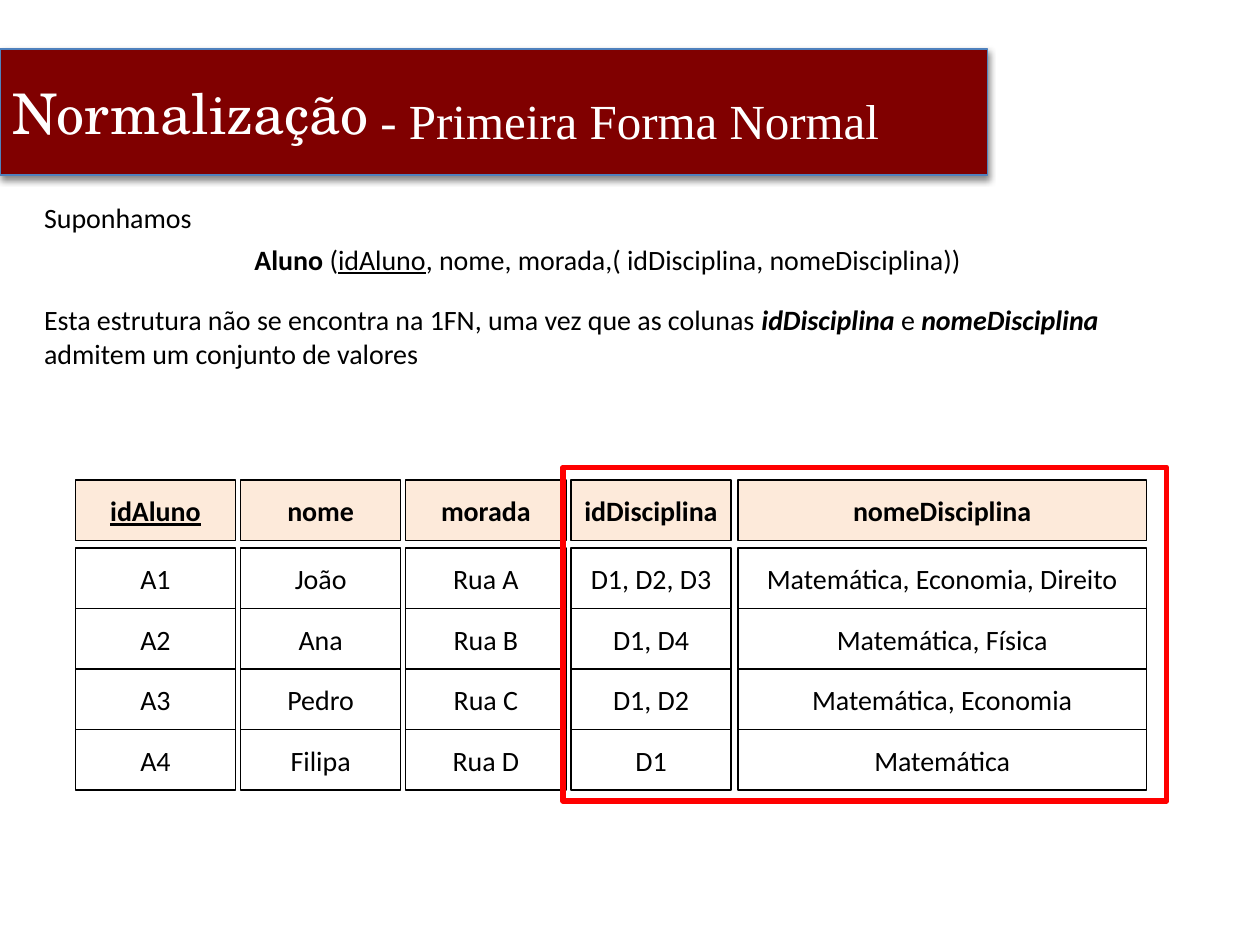
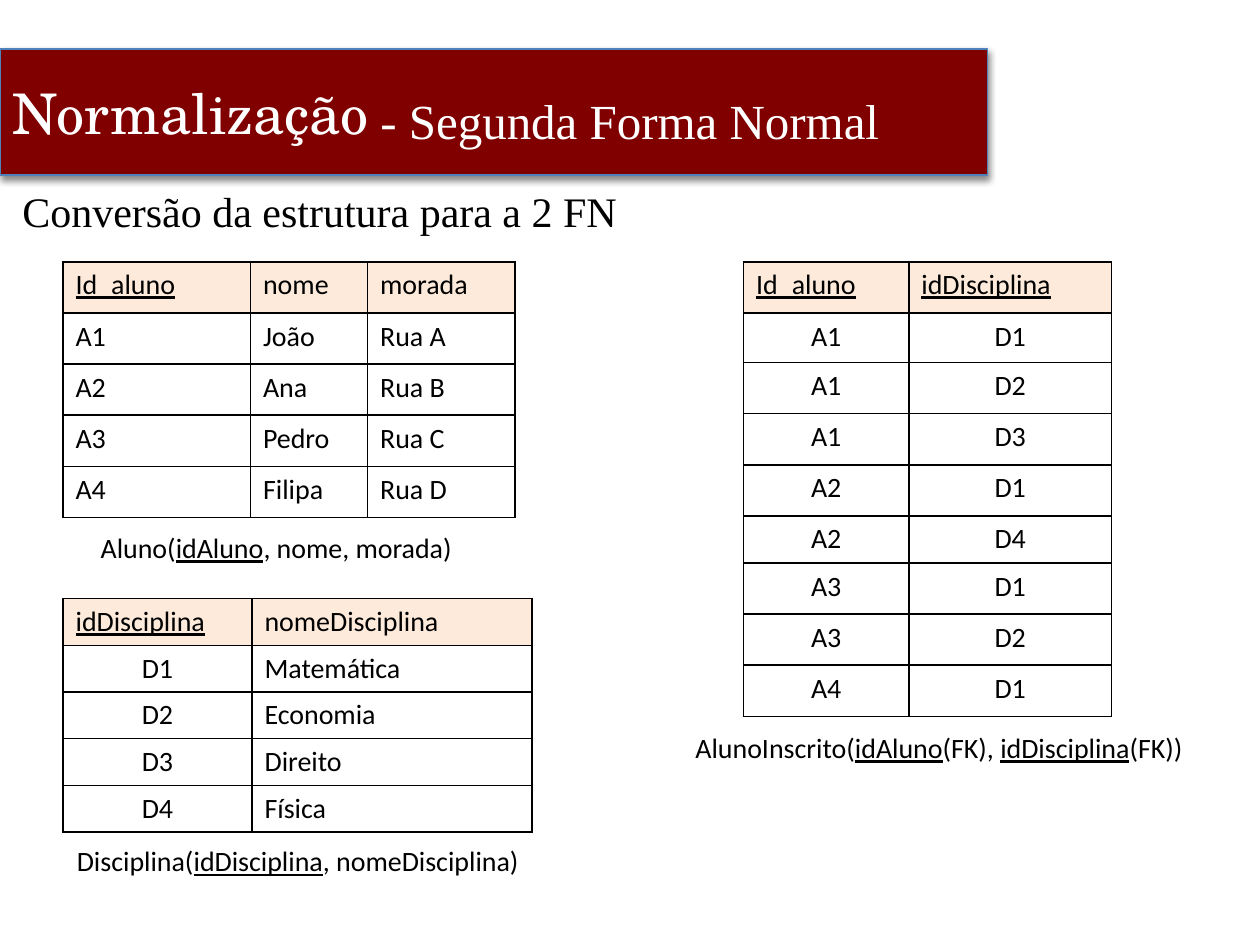
import pptx
import pptx.dml.color
import pptx.enum.shapes
import pptx.enum.text
import pptx.oxml
import pptx.oxml.ns
import pptx.util

Cm = pptx.util.Cm
Pt = pptx.util.Pt
ALIGN = pptx.enum.text.PP_ALIGN
MIDDLE = pptx.enum.text.MSO_ANCHOR.MIDDLE

MAROON, BAND_EDGE, PEACH = "800000", "4F81BD", "FDEADA"
BLACK, WHITE, RED = "000000", "FFFFFF", "FF0000"
BODY_FONT, TITLE_FONT, SUBTITLE_FONT = "Calibri", "TeX Gyre Schola", "Times New Roman"


def rgb(value):
    return pptx.dml.color.RGBColor.from_string(value)


def lengths(values):
    return [Cm(value) for value in values]


def drawing_xml(tag, content):
    namespace = pptx.oxml.ns.nsdecls("a")
    return pptx.oxml.parse_xml(f"<a:{tag} {namespace}>{content}</a:{tag}>")


class Deck:
    def __init__(self):
        self.presentation = pptx.Presentation()
        self.presentation.slide_width = Cm(25.4)
        self.presentation.slide_height = Cm(19.05)
        self.slide = None

    def new_slide(self, subtitle):
        self.slide = self.presentation.slides.add_slide(self.presentation.slide_layouts[5])
        band = self.slide.shapes.title
        band.left, band.top, band.width, band.height = lengths((0, 0.99, 19.91, 2.54))
        self.paint(band, MAROON, BAND_EDGE, 0.75)
        band._element.spPr.append(drawing_xml(
            "effectLst",
            '<a:outerShdw blurRad="50800" dist="25400" dir="5400000">'
            f'<a:srgbClr val="{BLACK}"><a:alpha val="45000"/></a:srgbClr></a:outerShdw>'))
        frame = band.text_frame
        frame.auto_size = pptx.enum.text.MSO_AUTO_SIZE.NONE
        frame.vertical_anchor = MIDDLE
        self.add_runs(frame.paragraphs[0], [("Normalização", "")], 32, TITLE_FONT, WHITE)
        self.text((7.42, 1.7, 11.23, 1.47), [[(subtitle, "")]], 28, SUBTITLE_FONT, WHITE)

    def paint(self, shape, fill, line, width):
        if fill:
            shape.fill.solid()
            shape.fill.fore_color.rgb = rgb(fill)
        else:
            shape.fill.background()
        shape.line.color.rgb = rgb(line)
        shape.line.width = Pt(width)

    def add_runs(self, paragraph, runs, size=16, font=BODY_FONT, color=BLACK, align=ALIGN.LEFT):
        paragraph.alignment = align
        for words, marks in runs:
            run = paragraph.add_run()
            run.text = words
            run.font.name = font
            run.font.size = Pt(size)
            run.font.color.rgb = rgb(color)
            run.font.bold = "b" in marks
            run.font.italic = "i" in marks
            run.font.underline = "u" in marks

    def text(self, box, paragraphs, size=16, font=BODY_FONT, color=BLACK, wrap=True):
        frame = self.slide.shapes.add_textbox(*lengths(box)).text_frame
        frame.word_wrap = wrap
        for index, runs in enumerate(paragraphs):
            paragraph = frame.add_paragraph() if index else frame.paragraphs[0]
            self.add_runs(paragraph, runs, size, font, color)
        return frame

    def rectangle(self, box, fill=None, line=BLACK, width=0.75, runs=()):
        shape = self.slide.shapes.add_shape(
            pptx.enum.shapes.MSO_SHAPE.RECTANGLE, *lengths(box))
        shape.shadow.inherit = False
        self.paint(shape, fill, line, width)
        if runs:
            shape.text_frame.word_wrap = False
            shape.text_frame.vertical_anchor = MIDDLE
            self.add_runs(shape.text_frame.paragraphs[0], runs, align=ALIGN.CENTER)

    def table(self, left, top, widths, heights, rows, centred=()):
        table = self.slide.shapes.add_table(
            len(rows), len(widths),
            *lengths((left, top, sum(widths), sum(heights)))).table
        table.first_row = table.horz_banding = False
        for column, width in zip(table.columns, widths):
            column.width = Cm(width)
        for row, height in zip(table.rows, heights):
            row.height = Cm(height)
        for r, values in enumerate(rows):
            for c, value in enumerate(values):
                cell = table.cell(r, c)
                header = r == 0
                underlined = header and value in ("Id_aluno", "idDisciplina")
                align = ALIGN.CENTER if c in centred and not header else ALIGN.LEFT
                self.add_runs(cell.text_frame.paragraphs[0],
                              [(value, "u" if underlined else "")], align=align)
                self.frame_cell(cell, PEACH if header else None)

    def frame_cell(self, cell, fill):
        properties = cell._tc.get_or_add_tcPr()
        for side in ("lnL", "lnR", "lnT", "lnB"):
            border = drawing_xml(
                side, f'<a:solidFill><a:srgbClr val="{BLACK}"/></a:solidFill>')
            border.set("w", str(Pt(1)))
            properties.append(border)
        if fill:
            cell.fill.solid()
            cell.fill.fore_color.rgb = rgb(fill)
        else:
            cell.fill.background()


def first_normal_form(deck):
    deck.new_slide("- Primeira Forma Normal")
    columns = [
        ("idAluno", "A1", "A2", "A3", "A4"),
        ("nome", "João", "Ana", "Pedro", "Filipa"),
        ("morada", "Rua A", "Rua B", "Rua C", "Rua D"),
        ("idDisciplina", "D1, D2, D3", "D1, D4", "D1, D2", "D1"),
        ("nomeDisciplina", "Matemática, Economia, Direito", "Matemática, Física",
         "Matemática, Economia", "Matemática"),
    ]
    row_height = 1.22
    for index, (heading, *values) in enumerate(columns):
        last = index == len(columns) - 1
        left = 14.88 if last else 1.52 + index * 3.33
        width = 8.23 if last else 3.23
        marks = "b" if index else "bu"
        deck.rectangle((left, 9.68, width, row_height), PEACH, runs=[(heading, marks)])
        for row, value in enumerate(values):
            deck.rectangle((left, 11.05 + row * row_height, width, row_height),
                           runs=[(value, "")])
    deck.rectangle((11.35, 9.42, 12.17, 6.73), line=RED, width=3)
    explanation = deck.text((0.64, 3.91, 23.39, 3.73), [
        [("Suponhamos", "")],
        [("Aluno ", "b"), ("(", ""), ("idAluno", "u"),
         (", nome, morada,( idDisciplina, nomeDisciplina))", "")],
        [("Esta estrutura não se encontra na 1FN, uma vez que as colunas ", ""),
         ("idDisciplina", "bi"), (" e ", ""), ("nomeDisciplina", "bi"),
         (" admitem um conjunto de valores", "")],
    ])
    _, structure, conclusion = explanation.paragraphs
    structure.space_before = Pt(4.8)
    structure._p.get_or_add_pPr().set("marL", str(Cm(4.24)))
    conclusion.space_before = Pt(15.4)


def second_normal_form(deck):
    deck.new_slide("- Segunda Forma Normal")
    deck.text((0.2, 3.61, 22.86, 2.54), [[("Conversão da estrutura para a 2 FN", "")]],
              24, SUBTITLE_FONT)
    students = [
        ("Id_aluno", "nome", "morada"),
        ("A1", "João", "Rua A"),
        ("A2", "Ana", "Rua B"),
        ("A3", "Pedro", "Rua C"),
        ("A4", "Filipa", "Rua D"),
    ]
    subjects = [
        ("idDisciplina", "nomeDisciplina"),
        ("D1", "Matemática"),
        ("D2", "Economia"),
        ("D3", "Direito"),
        ("D4", "Física"),
    ]
    enrolments = [
        ("Id_aluno", "idDisciplina"),
        ("A1", "D1"), ("A1", "D2"), ("A1", "D3"),
        ("A2", "D1"), ("A2", "D4"),
        ("A3", "D1"), ("A3", "D2"),
        ("A4", "D1"),
    ]
    deck.table(1.27, 5.28, (3.78, 2.36, 2.97), [1.03] * 5, students)
    deck.table(1.27, 12.07, (3.81, 5.64), [0.94] * 5, subjects, centred=(0,))
    enrolment_heights = [1.03, 1] + [1.03] * 3 + [0.95] + [1.03] * 3
    deck.table(14.99, 5.28, (3.33, 4.09), enrolment_heights, enrolments, centred=(0, 1))
    deck.text((13.77, 14.6, 10.74, 1.63), [[
        ("AlunoInscrito(", ""), ("idAluno", "u"), ("(FK), ", ""),
        ("idDisciplina", "u"), ("(FK))", "")]], wrap=False)
    deck.text((1.78, 10.57, 9.52, 1.63), [[
        ("Aluno(", ""), ("idAluno", "u"), (", nome, morada)", "")]])
    deck.text((1.3, 16.89, 11, 0.94), [[
        ("Disciplina(", ""), ("idDisciplina", "u"), (", nomeDisciplina)", "")]])


def main():
    deck = Deck()
    first_normal_form(deck)
    second_normal_form(deck)
    deck.presentation.save("out.pptx")


if __name__ == "__main__":
    main()
